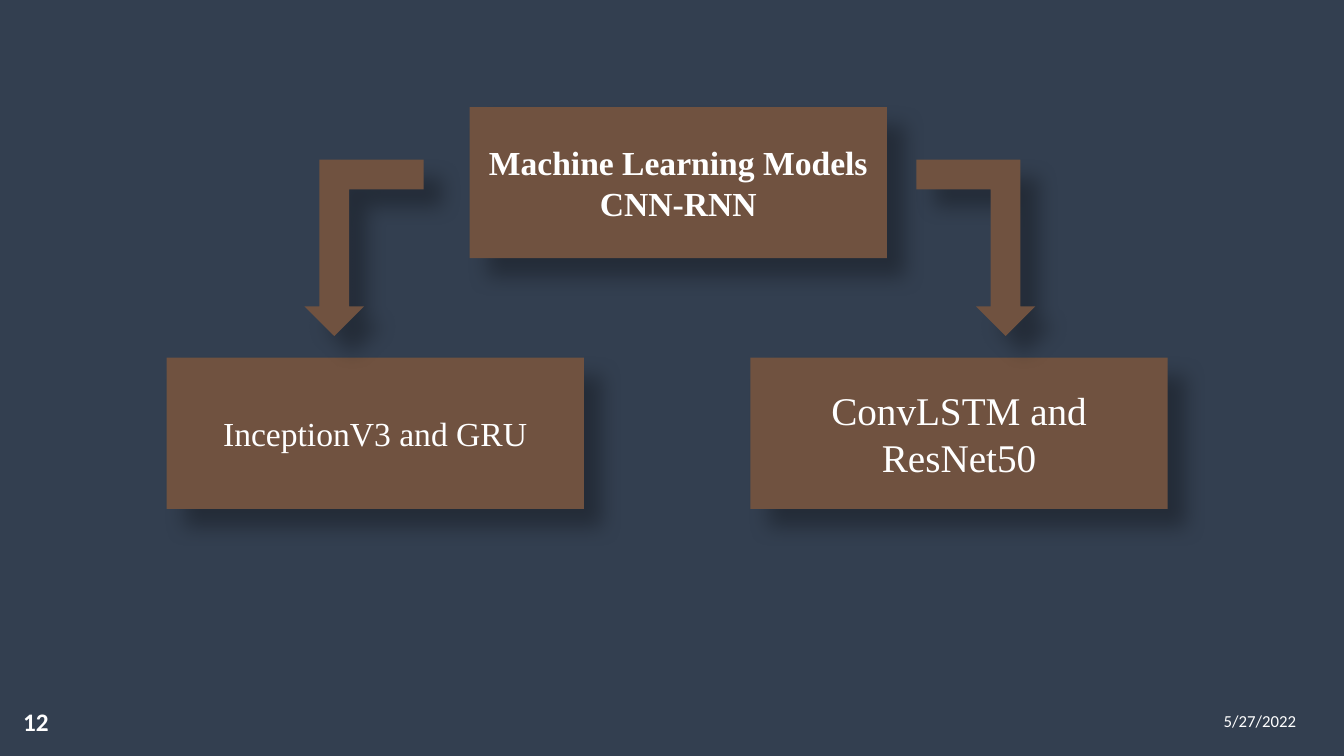
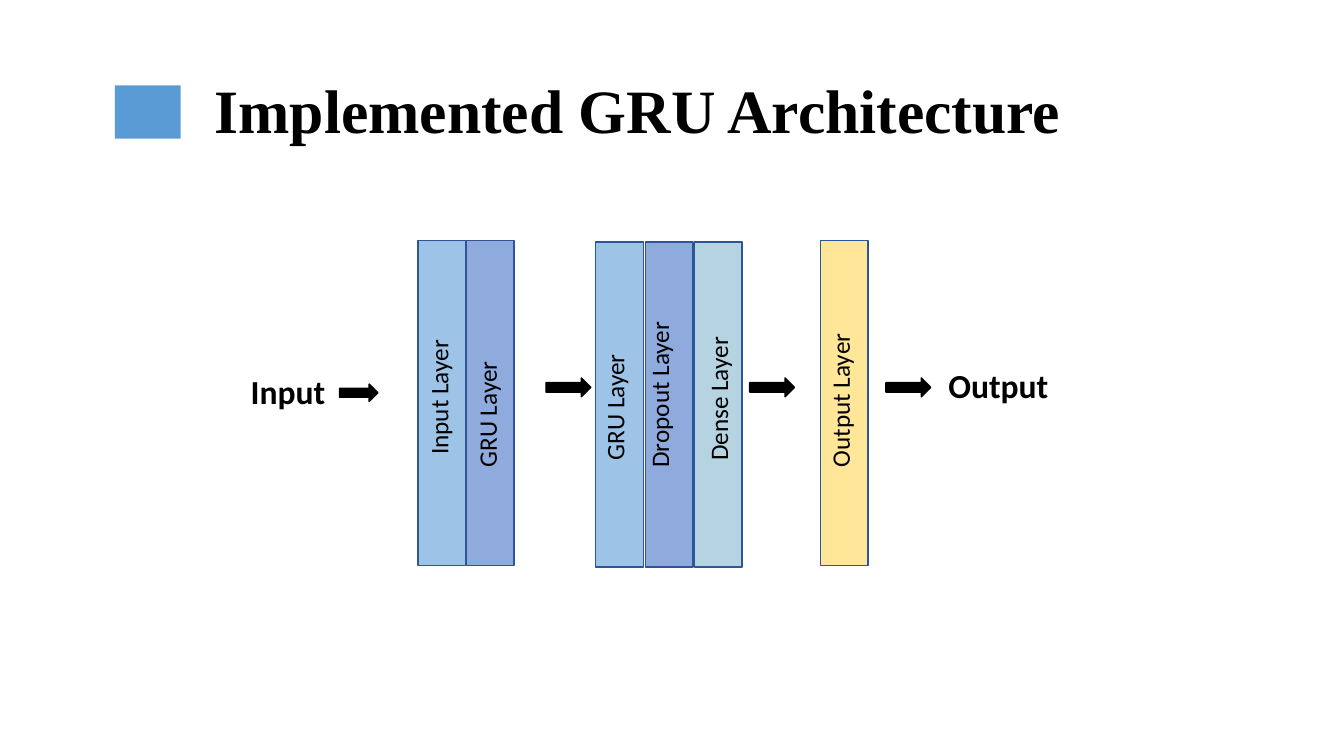
import lxml.etree
import pptx
import pptx.dml.color
import pptx.enum.shapes
import pptx.enum.text
import pptx.oxml
import pptx.util

Pt = pptx.util.Pt
SHAPE = pptx.enum.shapes.MSO_SHAPE
ALIGN = pptx.enum.text.PP_ALIGN
ANCHOR = pptx.enum.text.MSO_ANCHOR

COLORS = {
    "navy": "333F50", "brown": "705240", "white": "FFFFFF", "black": "000000",
    "accent": "5B9BD5", "outline": "2F5597", "sky": "9DC3E6",
    "periwinkle": "8FAADC", "pale": "B5D3E1", "yellow": "FFE699",
}
SERIF, SANS = "Times New Roman", "Calibri"
SLIDE_WIDTH, SLIDE_HEIGHT = 960, 540
TITLE_ONLY, BLANK = 5, 6


def color(name):
    return pptx.dml.color.RGBColor.from_string(COLORS[name])


def write(frame, text, size=18, font=SANS, fill="black", bold=False,
          align=ALIGN.LEFT, anchor=ANCHOR.TOP, spacing=None):
    """Fill a text frame, one paragraph for each line of text."""
    frame.word_wrap = True
    frame.vertical_anchor = anchor
    for index, line in enumerate(text.split("\n")):
        para = frame.paragraphs[0] if index == 0 else frame.add_paragraph()
        para.alignment = align
        if spacing:
            para.line_spacing = spacing
        span = para.add_run()
        span.text = line
        span.font.name, span.font.size = font, Pt(size)
        span.font.bold = bold
        span.font.color.rgb = color(fill)


def add_text(page, left, top, width, height, text, **style):
    box = page.shapes.add_textbox(Pt(left), Pt(top), Pt(width), Pt(height))
    write(box.text_frame, text, **style)
    return box


def add_box(page, kind, left, top, width, height, fill, line=None):
    shape = page.shapes.add_shape(kind, Pt(left), Pt(top), Pt(width), Pt(height))
    shape.shadow.inherit = False
    shape.fill.solid()
    shape.fill.fore_color.rgb = color(fill)
    if line:
        shape.line.color.rgb = color(line)
        shape.line.width = Pt(1)
    else:
        shape.line.fill.background()
    return shape


def add_shadow(shape):
    """Cast a soft shadow to the lower right."""
    effects = shape._element.spPr.find(pptx.oxml.ns.qn("a:effectLst"))
    effects.append(pptx.oxml.parse_xml(
        f'<a:outerShdw {pptx.oxml.ns.nsdecls("a")} blurRad="{Pt(15)}" '
        f'dist="{Pt(18)}" dir="2700000" algn="tl" rotWithShape="0">'
        f'<a:srgbClr val="{COLORS["black"]}"><a:alpha val="30000"/></a:srgbClr>'
        '</a:outerShdw>'))


def add_page(deck, layout, background):
    page = deck.slides.add_slide(deck.slide_layouts[layout])
    page.background.fill.solid()
    page.background.fill.fore_color.rgb = color(background)
    return page


def add_title(page, text):
    """Place the title with its square marker."""
    title = page.shapes.title
    title.left, title.top, title.width, title.height = Pt(146), Pt(29), Pt(747), Pt(104)
    write(title.text_frame, text, size=44, font=SERIF, bold=True,
          anchor=ANCHOR.MIDDLE, spacing=0.9)
    add_box(page, SHAPE.RECTANGLE, 82, 61, 47, 38, "accent")


def add_footer(page, number, date):
    add_text(page, 9.4, 501, 60, 29, number, fill="white", bold=True)
    add_text(page, 867, 500.4, 90, 29, date, size=12, fill="white",
             anchor=ANCHOR.MIDDLE)


def add_model_tree(page, left, top):
    """One parent box, with a bent arrow to each of two child boxes."""
    nodes = [
        (216.5, 0, "Machine Learning Models\nCNN-RNN", 24, True),
        (0, 179, "InceptionV3 and GRU", 24, False),
        (417, 179, "ConvLSTM and ResNet50", 28, False),
    ]
    for x, y, text, size, bold in nodes:
        node = add_box(page, SHAPE.RECTANGLE, left + x, top + y, 298, 108, "brown")
        add_shadow(node)
        write(node.text_frame, text, size=size, font=SERIF, fill="white",
              bold=bold, align=ALIGN.CENTER, anchor=ANCHOR.MIDDLE)
    for x, mirrored in ((98.5, False), (535.5, True)):
        arrow = add_box(page, SHAPE.BENT_UP_ARROW, left + x, top + 37.5, 85, 126, "brown")
        arrow.rotation = 180
        if mirrored:
            arrow._element.spPr.find(pptx.oxml.ns.qn("a:xfrm")).set("flipH", "1")
        add_shadow(arrow)


def add_layer(page, left, top, text, fill, shift, middle):
    """A tall bar with an upright label; shift and middle place the label."""
    width, height, length, thickness = 34, 232, 140, 29
    add_box(page, SHAPE.RECTANGLE, left, top, width, height, fill, "outline")
    label = add_text(page, left + (width - length) / 2 + shift,
                     top + middle - thickness / 2, length, thickness,
                     text, align=ALIGN.CENTER)
    label.rotation = 270


def add_network(page, left, top):
    """Layers from left to right, joined by arrows between input and output."""
    layers = [
        (126.7, 0, "Input Layer", "sky", -2.5, 112),
        (161.3, 0, "GRU Layer", "periwinkle", -2.5, 124),
        (253.5, 1, "GRU Layer", "sky", -3.5, 118),
        (289, 1, "Dropout Layer", "periwinkle", -7, 109),
        (324, 1, "Dense Layer", "pale", 0, 112),
        (414, 0, "Output Layer", "yellow", -3, 114),
    ]
    for x, y, text, fill, shift, middle in layers:
        add_layer(page, left + x, top + y, text, fill, shift, middle)

    arrows = [(70.5, 102.3, 27.5, 12.5), (218, 98, 32, 13.5),
              (363.5, 98, 32, 13.5), (460.8, 98, 32, 13.5)]
    for x, y, width, height in arrows:
        add_box(page, SHAPE.RIGHT_ARROW, left + x, top + y, width, height,
                "black", "black")

    for x, y, width, text in ((0, 89.3, 69, "Input"), (498.3, 85, 104, "Output")):
        add_text(page, left + x, top + y, width, 36, text, size=24, bold=True)


def main():
    deck = pptx.Presentation()
    deck.slide_width, deck.slide_height = Pt(SLIDE_WIDTH), Pt(SLIDE_HEIGHT)

    # Model overview
    page = add_page(deck, BLANK, "navy")
    add_model_tree(page, 119, 76.5)
    add_footer(page, "12", "5/27/2022")

    # Network architecture
    page = add_page(deck, TITLE_ONLY, "white")
    add_title(page, "Implemented GRU Architecture")
    add_network(page, 172, 172)

    deck.save("out.pptx")


if __name__ == "__main__":
    main()
